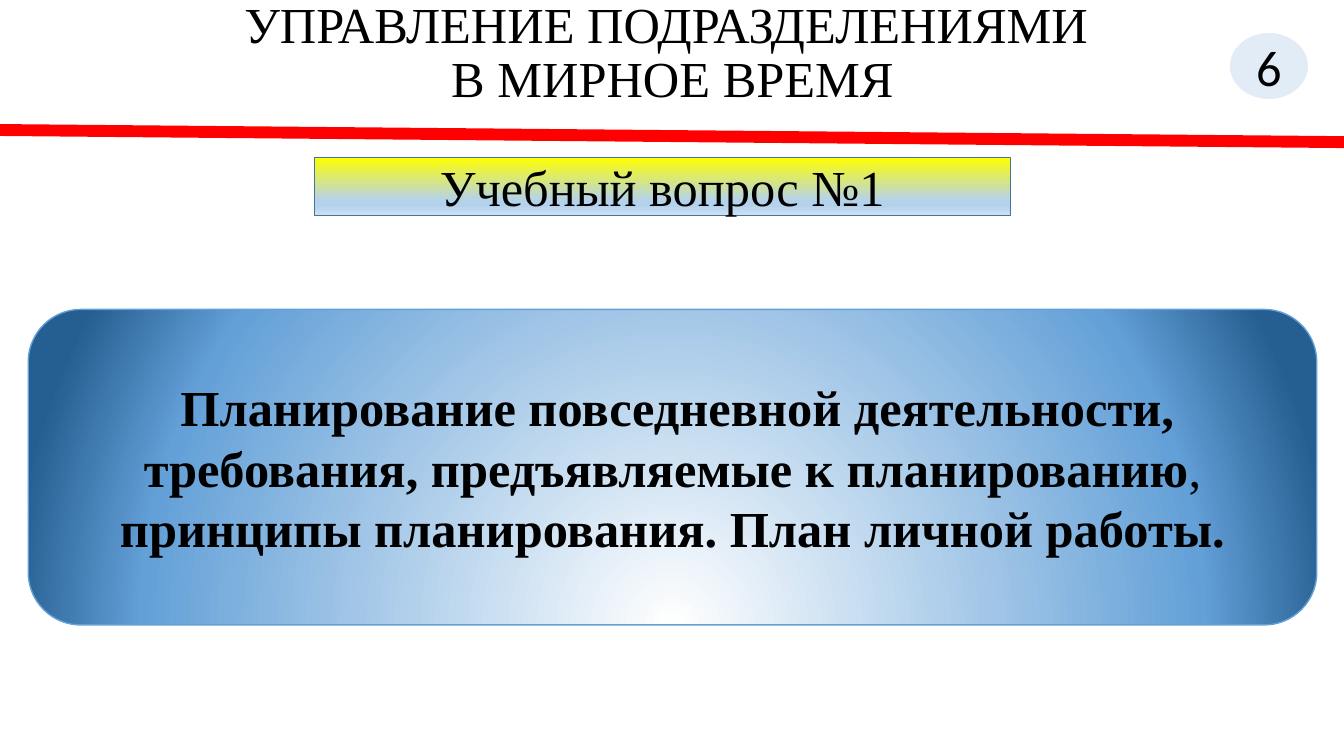
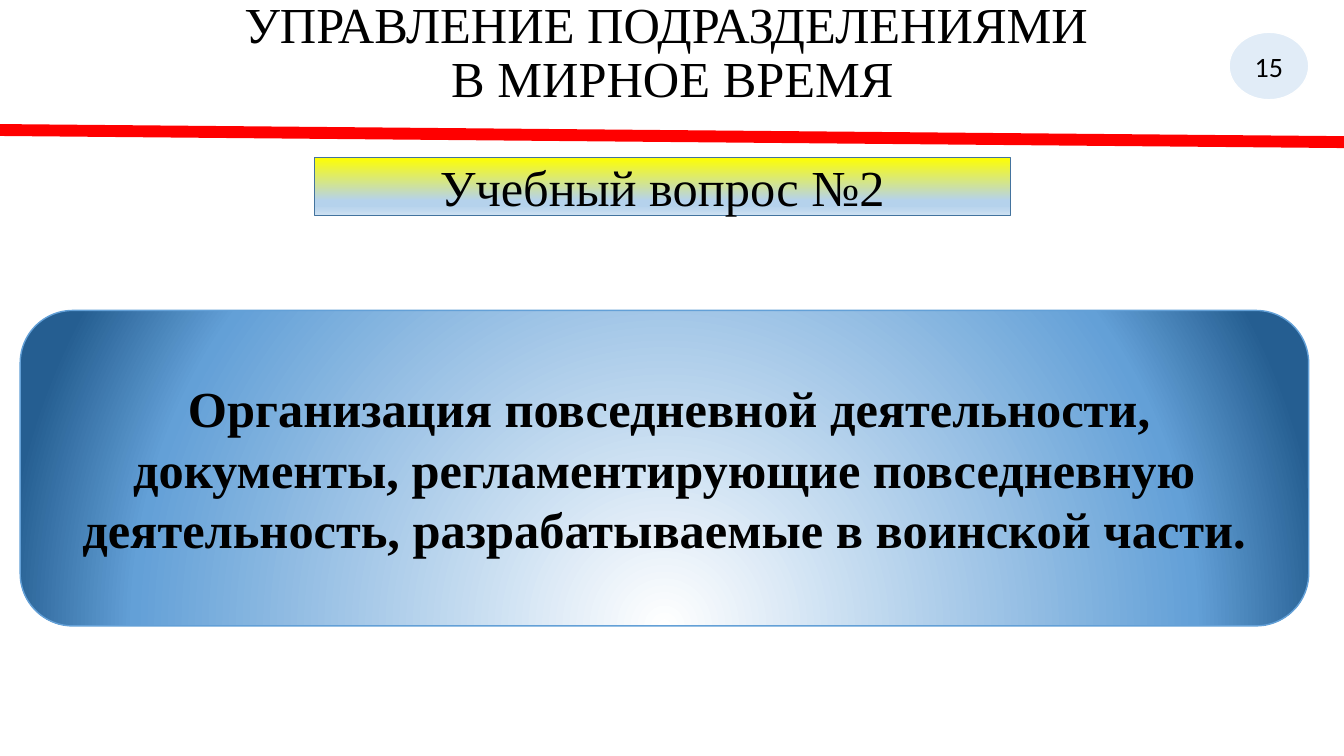
"""Build two section slides on planning and organising daily activity."""
from lxml import etree
from pptx import Presentation
from pptx import util as u
from pptx.dml.color import RGBColor
from pptx.enum import shapes, text
from pptx.oxml import parse_xml
from pptx.oxml.ns import nsdecls, qn

COLORS = {
    "text": "000000", "white": "FFFFFF", "rule": "FF0000", "badge": "5B9BD5",
    "yellow": "FFFF00", "pale": "B5D2EC", "paler": "CEE1F2",
    "label_line": "43739E", "blue": "63A0D7", "navy": "255E91",
}
SERIF, SANS = "Times New Roman", "Calibri"
WIDTH, HEIGHT = 13.33, 7.5
LABEL_STOPS = [(0, "yellow"), (74, "pale"), (83, "pale"), (100, "paler")]
PANEL_STOPS = [(0, "white"), (80, "blue"), (100, "navy")]
LINEAR = '<a:lin ang="5400000" scaled="0"/>'
RADIAL = ('<a:path path="circle"><a:fillToRect l="50000" t="130000" '
          'r="50000" b="-30000"/></a:path>')


def color(name):
    return RGBColor.from_string(COLORS[name])


class SlideBuilder:
    def __init__(self, deck):
        self.deck = deck
        self.slide = None

    def new_slide(self):
        self.slide = self.deck.slides.add_slide(self.deck.slide_layouts[6])

    def style(self, paragraph, size, font=SERIF):
        paragraph.alignment = text.PP_ALIGN.CENTER
        paragraph.font.name = font
        paragraph.font.size = u.Pt(size)
        paragraph.font.color.rgb = color("text")

    def title(self, words):
        box = self.slide.shapes.add_textbox(
            u.Inches(0.92), u.Inches(0), u.Inches(11.5), u.Inches(1.1))
        frame = box.text_frame
        frame.word_wrap = True
        frame.margin_top = frame.margin_bottom = 0
        frame.vertical_anchor = text.MSO_ANCHOR.TOP
        paragraph = frame.paragraphs[0]
        paragraph.text = words
        paragraph.line_spacing = 0.9
        self.style(paragraph, 36)

    def rule(self):
        line = self.slide.shapes.add_connector(
            shapes.MSO_CONNECTOR.STRAIGHT, u.Inches(0), u.Inches(1.29),
            u.Inches(WIDTH), u.Inches(1.41))
        line.line.color.rgb = color("rule")
        line.line.width = u.Pt(8.5)
        etree.SubElement(line._element.spPr, qn("a:effectLst"))

    def shape(self, kind, left, top, width, height, line):
        shape = self.slide.shapes.add_shape(
            kind, u.Inches(left), u.Inches(top), u.Inches(width), u.Inches(height))
        shape.shadow.inherit = False
        shape.line.color.rgb = color(line)
        shape.line.width = u.Pt(1)
        shape.text_frame.word_wrap = True
        shape.text_frame.vertical_anchor = text.MSO_ANCHOR.MIDDLE
        return shape

    def gradient(self, shape, stops, direction):
        stop_xml = "".join(
            f'<a:gs pos="{place * 1000}"><a:srgbClr val="{COLORS[name]}"/></a:gs>'
            for place, name in stops)
        fill = parse_xml(f'<a:gradFill {nsdecls("a")} rotWithShape="1">'
                         f'<a:gsLst>{stop_xml}</a:gsLst>{direction}</a:gradFill>')
        shape._element.spPr.find(qn("a:prstGeom")).addnext(fill)

    def badge(self, number, size):
        badge = self.shape(shapes.MSO_SHAPE.OVAL, 12.19, 0.32, 0.79, 0.67, "white")
        badge.fill.solid()
        badge.fill.fore_color.rgb = color("badge")
        fill_color = badge._element.spPr.find(qn("a:solidFill"))[0]
        etree.SubElement(fill_color, qn("a:alpha"), val="18000")
        paragraph = badge.text_frame.paragraphs[0]
        paragraph.text = number
        self.style(paragraph, size, SANS)

    def label(self, words):
        label = self.shape(
            shapes.MSO_SHAPE.RECTANGLE, 3.12, 1.56, 6.9, 0.58, "label_line")
        self.gradient(label, LABEL_STOPS, LINEAR)
        paragraph = label.text_frame.paragraphs[0]
        paragraph.text = words
        self.style(paragraph, 36)

    def panel(self, left, top, spans):
        panel = self.shape(
            shapes.MSO_SHAPE.ROUNDED_RECTANGLE, left, top, 12.78, 3.13, "blue")
        self.gradient(panel, PANEL_STOPS, RADIAL)
        paragraph = panel.text_frame.paragraphs[0]
        self.style(paragraph, 36)
        lead = paragraph.add_run()
        lead.text = " "
        lead.font.size = u.Pt(28)
        for words, bold in spans:
            span = paragraph.add_run()
            span.text = words
            span.font.bold = bold


SECTIONS = [
    ("6", 36, "Учебный вопрос №1", 0.28, 3.07, [
        ("Планирование повседневной деятельности, требования, "
         "предъявляемые к планированию", True),
        (", ", False),
        ("принципы планирования. План личной работы.", True)]),
    ("15", 20, "Учебный вопрос №2", 0.2, 3.08, [
        ("Организация повседневной деятельности, документы, "
         "регламентирующие повседневную деятельность, "
         "разрабатываемые в воинской части.", True)]),
]


def main():
    deck = Presentation()
    deck.slide_width, deck.slide_height = u.Inches(WIDTH), u.Inches(HEIGHT)
    page = SlideBuilder(deck)
    for number, size, question, left, top, spans in SECTIONS:
        page.new_slide()
        page.title("УПРАВЛЕНИЕ ПОДРАЗДЕЛЕНИЯМИ \vВ МИРНОЕ ВРЕМЯ")
        page.rule()
        page.badge(number, size)
        page.label(question)
        page.panel(left, top, spans)
    deck.save("out.pptx")


if __name__ == "__main__":
    main()
